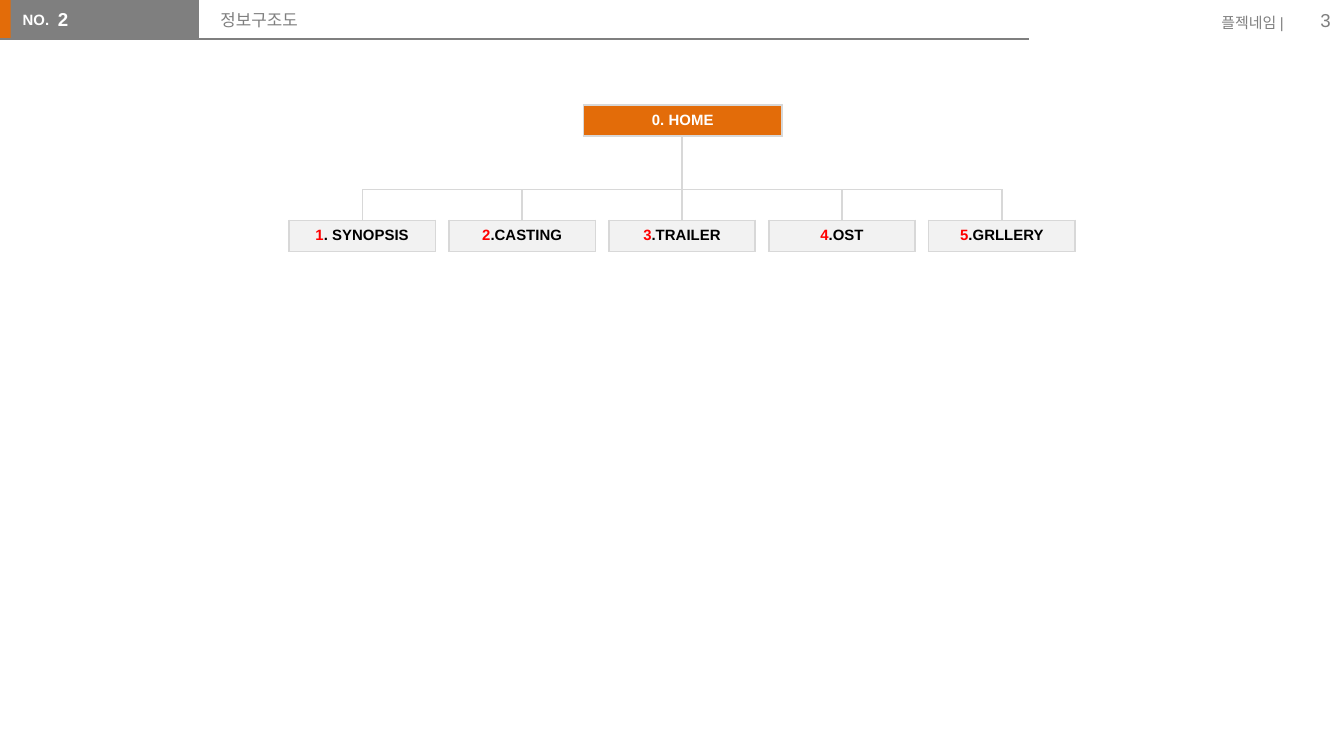
"""Builds an information-architecture slide: a home box over five menu boxes."""
from lxml import etree
from pptx import Presentation
from pptx.dml.color import RGBColor
from pptx.enum.shapes import MSO_CONNECTOR, MSO_SHAPE
from pptx.enum.text import MSO_ANCHOR, MSO_AUTO_SIZE, PP_ALIGN
from pptx.oxml.ns import qn
from pptx.util import Inches, Pt

LEFT, CENTER, RIGHT = PP_ALIGN.LEFT, PP_ALIGN.CENTER, PP_ALIGN.RIGHT
TOP, MIDDLE = MSO_ANCHOR.TOP, MSO_ANCHOR.MIDDLE
RECTANGLE, STRAIGHT = MSO_SHAPE.RECTANGLE, MSO_CONNECTOR.STRAIGHT
NO_AUTOFIT = MSO_AUTO_SIZE.NONE

COLORS = {"orange": "E36C09", "gray": "7F7F7F", "border": "D8D8D8",
          "panel": "F2F2F2", "red": "FF0000", "black": "000000", "white": "FFFFFF"}

TITLE = "정보구조도"
SECTION = "2"
HOME = "0. HOME"
MENUS = [("1", ". SYNOPSIS"), ("2", ".CASTING"), ("3", ".TRAILER"),
         ("4", ".OST"), ("5", ".GRLLERY")]
BANDS = [((-0.01, 0, 0.12, 0.29), "orange"), ((0.08, 0, 1.4, 0.29), "gray")]
LABELS = [
    ("NO.", (0.07, 0.03, 0.41, 0.24), dict(size=8, color="white", bold=True)),
    ("플젝네임 |", (8.93, 0.05, 0.72, 0.24), dict(size=8, align=RIGHT)),
    ("3", (9.4, 0, 0.6, 0.3), dict(size=10, align=RIGHT, anchor=MIDDLE)),
]

BOX_HEIGHT = 0.23
HOME_BOX = (4.34, 0.78, 1.48)
MENU_LEFT, MENU_TOP, MENU_WIDTH, MENU_PITCH = 2.15, 1.64, 1.09, 1.19
BRANCH_Y = 1.41

prs = Presentation()
prs.slide_width = Inches(10)
prs.slide_height = Inches(10) * 9 // 16
slide = prs.slides.add_slide(prs.slide_layouts[1])
shapes = slide.shapes


def rgb(name):
    return RGBColor.from_string(COLORS[name])


def write(frame, *runs, size=8, color="gray", bold=False, align=LEFT, anchor=TOP):
    """Fill a text frame; a run is a string or a (string, color) pair."""
    frame.word_wrap = True
    frame.vertical_anchor = anchor
    paragraph = frame.paragraphs[0]
    paragraph.alignment = align
    paragraph.space_before = Pt(0)
    for item in runs:
        words, tint = (item, color) if isinstance(item, str) else item
        run = paragraph.add_run()
        run.text = words
        run.font.name = "Arial"
        run.font.size = Pt(size)
        run.font.bold = bold
        run.font.color.rgb = rgb(tint)
    return paragraph


def place(shape, box):
    shape.left, shape.top, shape.width, shape.height = map(Inches, box)


def add_line(start, end, color="border"):
    line = shapes.add_connector(STRAIGHT, *map(Inches, start + end))
    line.line.color.rgb = rgb(color)
    line.line.width = Pt(0.75)
    etree.SubElement(line.element.spPr, qn("a:effectLst"))


def add_box(left, top, width, fill, *runs, **style):
    """Add a one-cell table with a thin border."""
    table = shapes.add_table(1, 1, *map(Inches, (left, top, width, BOX_HEIGHT))).table
    table.first_row = table.horz_banding = False
    cell = table.cell(0, 0)
    write(cell.text_frame, *runs, bold=True, align=CENTER, **style)
    properties = cell._tc.get_or_add_tcPr()
    for side in ("lnL", "lnR", "lnT", "lnB"):
        border = etree.SubElement(properties, qn("a:" + side), w=str(Pt(1)))
        solid = etree.SubElement(border, qn("a:solidFill"))
        etree.SubElement(solid, qn("a:srgbClr"), val=COLORS["border"])
    cell.fill.solid()
    cell.fill.fore_color.rgb = rgb(fill)


for box, color in BANDS:
    band = shapes.add_shape(RECTANGLE, *map(Inches, box))
    band.shadow.inherit = False
    band.fill.solid()
    band.fill.fore_color.rgb = rgb(color)
    band.line.fill.background()
add_line((0, 0.29), (7.66, 0.29), "gray")

for words, box, style in LABELS:
    write(shapes.add_textbox(*map(Inches, box)).text_frame, words, **style)

title, section = shapes.title, slide.placeholders[1]
place(title, (1.54, 0.02, 5.42, 0.32))
place(section, (0.43, 0.01, 1.1, 0.31))
for holder in (title, section):
    holder.text_frame.auto_size = NO_AUTOFIT
    shapes.element.append(holder.element)
write(title.text_frame, TITLE, size=9)
section.text_frame.margin_left = section.text_frame.margin_right = 0
number = write(section.text_frame, SECTION, size=10, color="white", bold=True)
number_format = number._p.get_or_add_pPr()
number_format.set("marL", "0")
number_format.set("indent", "0")
etree.SubElement(number_format, qn("a:buNone"))

centers = [MENU_LEFT + i * MENU_PITCH + MENU_WIDTH / 2 for i in range(len(MENUS))]
trunk = centers[len(centers) // 2]
add_line((trunk, HOME_BOX[1] + BOX_HEIGHT), (trunk, BRANCH_Y))
add_line((centers[0], BRANCH_Y), (centers[-1], BRANCH_Y))
add_box(*HOME_BOX, "orange", HOME, color="white")
for center, (digit, name) in zip(centers, MENUS):
    add_line((center, BRANCH_Y), (center, MENU_TOP))
    add_box(center - MENU_WIDTH / 2, MENU_TOP, MENU_WIDTH, "panel",
            (digit, "red"), (name, "black"))

prs.save("out.pptx")
